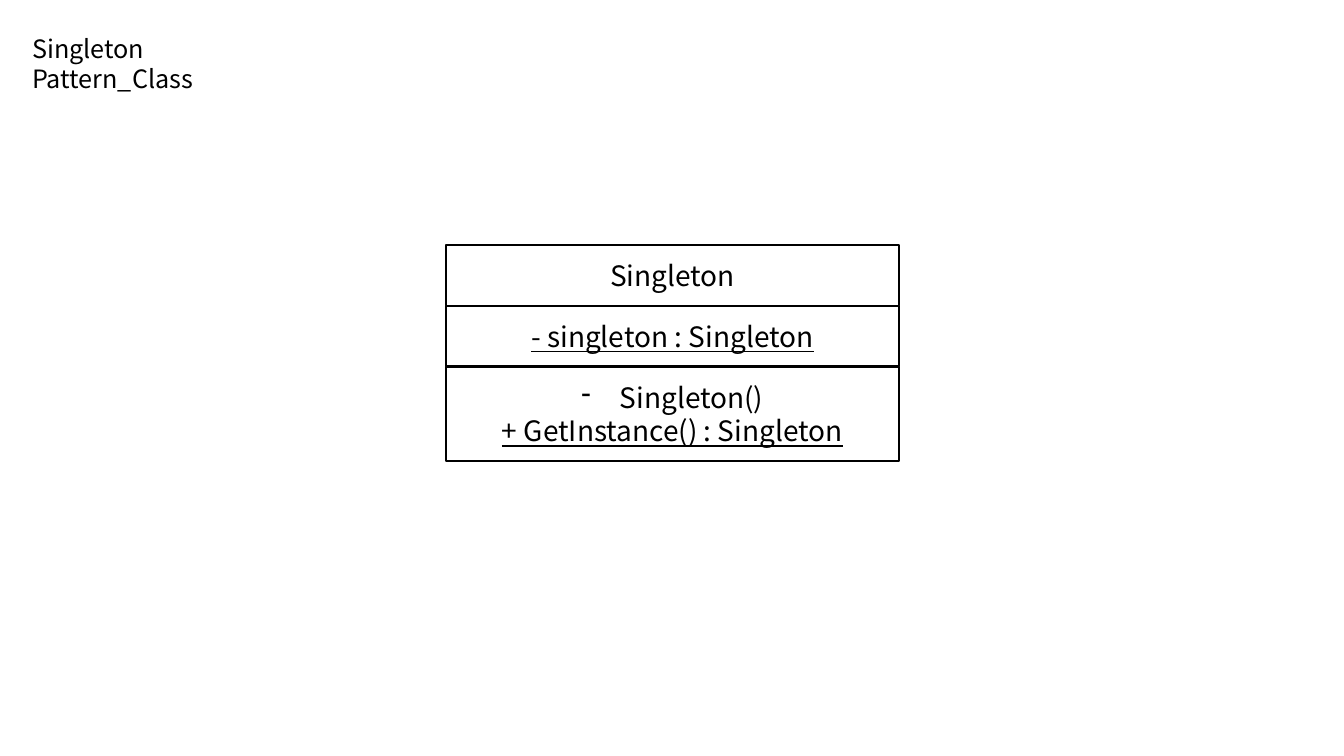
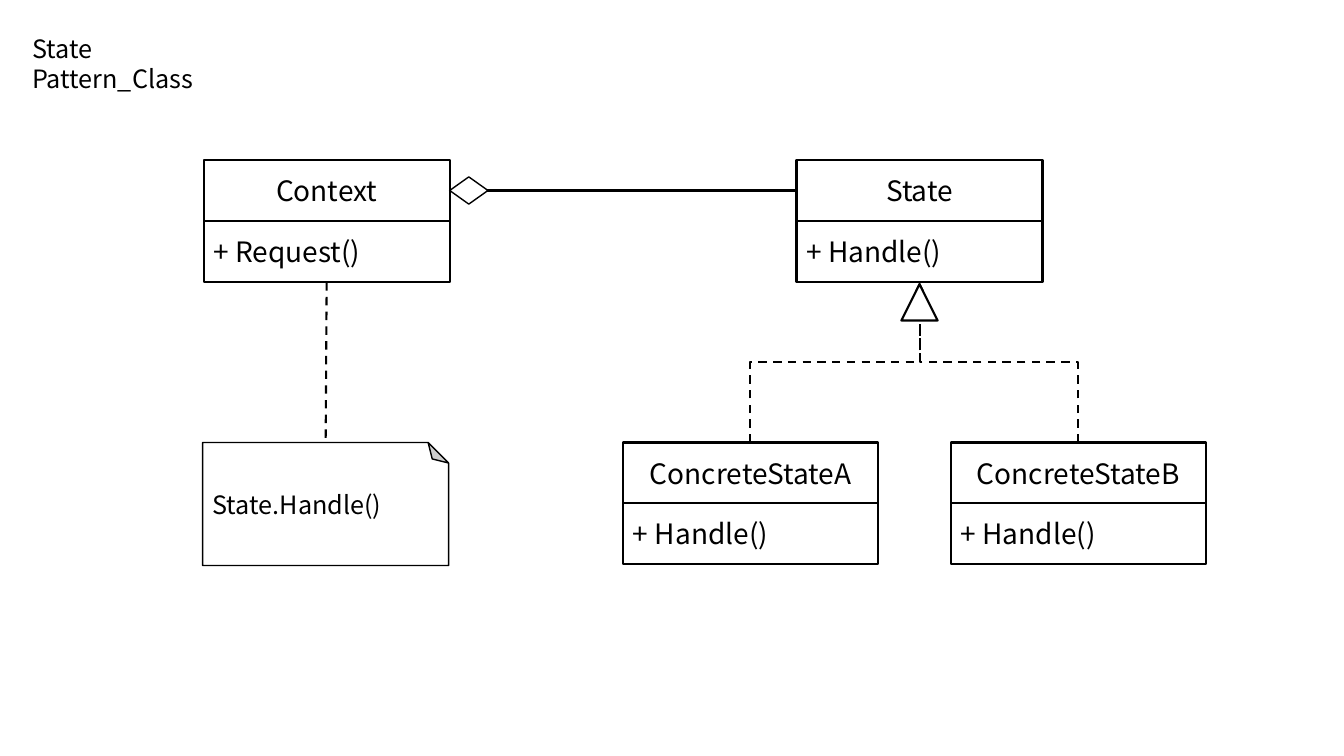
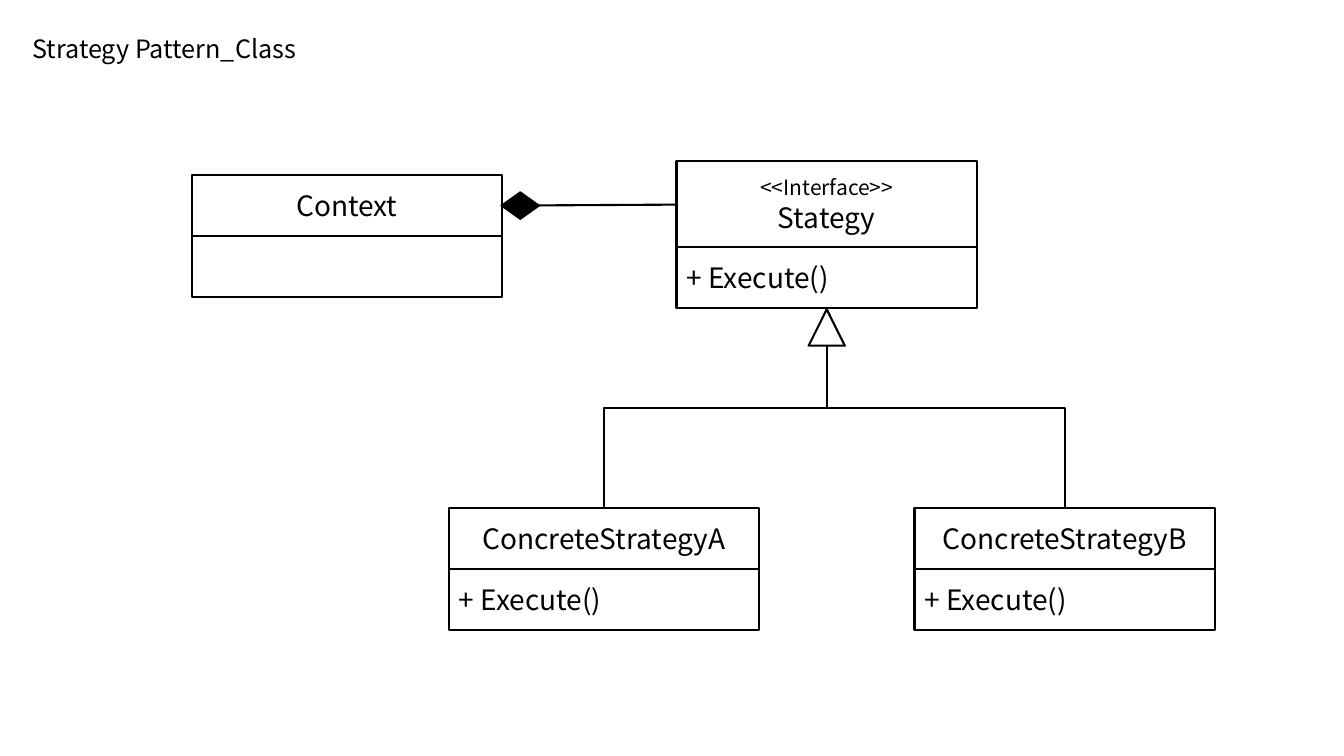
from lxml.etree import SubElement
from pptx import Presentation
from pptx.dml.color import RGBColor
from pptx.enum.dml import MSO_LINE
from pptx.enum.shapes import MSO_CONNECTOR, MSO_SHAPE
from pptx.enum.text import MSO_ANCHOR, MSO_AUTO_SIZE, PP_ALIGN
from pptx.oxml.ns import qn
from pptx.util import Inches, Pt

BLACK = RGBColor(0, 0, 0)
WHITE = RGBColor(255, 255, 255)
FONT = "Noto Sans CJK KR"
NAME_SIZE, NOTE_SIZE, STEREOTYPE_SIZE = 20, 18, 15
ROW_PADDING = 0.27
POINTS_PER_ROW_INCH = 60
BULLET_INDENT = 0.38
DIAMOND_W, DIAMOND_H = 0.38, 0.27
TRIANGLE = 0.36


def add_text(p, text, size=NAME_SIZE, align=PP_ALIGN.LEFT, underline=None, bullet=None):
    """Write one formatted run, with an optional bullet, into a paragraph."""
    p.alignment = align
    r = p.add_run()
    r.text = text
    font = r.font
    font.name, font.size, font.underline = FONT, Pt(size), underline
    font.color.rgb = BLACK
    if bullet:
        pPr = p._p.get_or_add_pPr()
        pPr.set("marL", str(Inches(BULLET_INDENT)))
        pPr.set("indent", str(-Inches(BULLET_INDENT)))
        SubElement(pPr, qn("a:buChar")).set("char", bullet)


def add_slide(prs, title, title_width):
    """Add a slide with its small title at top left."""
    slide = prs.slides.add_slide(prs.slide_layouts[5])
    sp = slide.shapes.title
    sp.left, sp.top = Inches(0.22), Inches(0.28)
    sp.width, sp.height = Inches(title_width), Inches(0.7)
    tf = sp.text_frame
    tf.word_wrap, tf.auto_size = True, MSO_AUTO_SIZE.NONE
    tf.vertical_anchor = MSO_ANCHOR.TOP
    add_text(tf.paragraphs[0], title, size=NOTE_SIZE)
    return slide


def add_outline(slide, kind, x, y, w, h, fill=WHITE, weight=1.5):
    """Add a filled preset shape with a black outline."""
    sp = slide.shapes.add_shape(kind, Inches(x), Inches(y), Inches(w), Inches(h))
    sp.shadow.inherit = False
    sp.fill.solid()
    sp.fill.fore_color.rgb = fill
    sp.line.color.rgb = BLACK
    sp.line.width = Pt(weight)
    return sp


def line(text, **style):
    """Describe one line of a class box."""
    return text, style


def centered(text, **style):
    """Describe one centred line of a class box."""
    return line(text, align=PP_ALIGN.CENTER, **style)


def add_class(slide, x, y, w, *rows):
    """Stack the rows of a class box, each as high as its lines need."""
    for row in rows:
        sizes = [style.get("size", NAME_SIZE) for _, style in row] or [NAME_SIZE]
        h = ROW_PADDING + sum(sizes) / POINTS_PER_ROW_INCH
        sp = add_outline(slide, MSO_SHAPE.RECTANGLE, x, y, w, h)
        tf = sp.text_frame
        tf.word_wrap, tf.vertical_anchor = True, MSO_ANCHOR.MIDDLE
        for i, (text, style) in enumerate(row):
            p = tf.add_paragraph() if i else tf.paragraphs[0]
            add_text(p, text, **style)
        y += h


def add_line(slide, start, end, kind=MSO_CONNECTOR.STRAIGHT, dashed=False, arrow=True):
    """Add a black connector, with an arrowhead at its end if wanted."""
    c = slide.shapes.add_connector(kind, *map(Inches, start + end))
    c.line.color.rgb = BLACK
    c.line.width = Pt(1.5)
    if dashed:
        c.line.dash_style = MSO_LINE.DASH
    if arrow:
        SubElement(c.line._ln, qn("a:tailEnd")).set("type", "triangle")
    SubElement(c.element.spPr, qn("a:effectLst"))
    return c


def add_riser(slide, start, end, dashed):
    """Add an elbow that leaves upwards, by turning a sideways one."""
    mid_x, mid_y = (start[0] + end[0]) / 2, (start[1] + end[1]) / 2
    from_left = start[0] < end[0]
    dx = (start[1] - end[1]) / 2 * (1 if from_left else -1)
    dy = abs(start[0] - end[0]) / 2
    c = add_line(slide, (mid_x + dx, mid_y + dy), (mid_x - dx, mid_y - dy),
                 kind=MSO_CONNECTOR.ELBOW, dashed=dashed)
    c.element.spPr.find(qn("a:xfrm")).set("rot", str((90 if from_left else 270) * 60000))


def add_inheritance(slide, parent, children, child_y, dashed=False):
    """Join the tops of child classes to the hollow triangle below their parent."""
    for x in children:
        add_riser(slide, (x, child_y), parent, dashed)
    x, y = parent
    add_outline(slide, MSO_SHAPE.ISOSCELES_TRIANGLE, x - TRIANGLE / 2, y + 0.02, TRIANGLE, TRIANGLE)


def add_ownership(slide, part, owner, fill):
    """Join a part to the diamond at its owner's right side."""
    add_line(slide, part, owner)
    x, y = owner
    add_outline(slide, MSO_SHAPE.FLOWCHART_DECISION, x, y - DIAMOND_H / 2,
                DIAMOND_W, DIAMOND_H, fill=fill, weight=1)


def add_note(slide, x, y, w, h, text):
    """Add a note with its top right corner folded and its text in the middle."""
    sp = add_outline(slide, MSO_SHAPE.FOLDED_CORNER, x, y, w, h, weight=1)
    sp.element.spPr.find(qn("a:xfrm")).set("flipV", "1")
    tf = slide.shapes.add_textbox(Inches(x), Inches(y), Inches(w), Inches(h)).text_frame
    tf.word_wrap, tf.vertical_anchor = True, MSO_ANCHOR.MIDDLE
    add_text(tf.paragraphs[0], text, size=NOTE_SIZE)


def build_singleton(prs):
    """Build the singleton slide."""
    slide = add_slide(prs, "Singleton Pattern_Class", 2.2)
    add_class(slide, 4.42, 2.43, 4.5,
              [centered("Singleton")],
              [centered("- singleton : Singleton", underline=True)],
              [centered("Singleton()", bullet="-"),
               centered("+ GetInstance() : Singleton", underline=True)])


def build_state(prs):
    """Build the state slide."""
    slide = add_slide(prs, "State Pattern_Class", 2.2)
    for x, y, w, name, method in (
        (2.02, 1.59, 2.44, "Context", "+ Request()"),
        (7.9, 1.59, 2.44, "State", "+ Handle()"),
        (6.18, 4.39, 2.53, "ConcreteStateA", "+ Handle()"),
        (9.43, 4.39, 2.53, "ConcreteStateB", "+ Handle()"),
    ):
        add_class(slide, x, y, w, [centered(name)], [line(method)])
    add_ownership(slide, (7.9, 1.89), (4.46, 1.89), WHITE)
    add_note(slide, 2.01, 4.39, 2.44, 1.22, "State.Handle()")
    add_line(slide, (3.24, 2.8), (3.23, 4.39), dashed=True, arrow=False)
    add_inheritance(slide, (9.12, 2.8), (7.44, 10.69), 4.39, dashed=True)


def build_strategy(prs):
    """Build the strategy slide."""
    slide = add_slide(prs, "Strategy Pattern_Class", 3.2)
    method = [line("+ Execute()")]
    add_class(slide, 6.71, 1.6, 2.98,
              [centered("<<Interface>>", size=STEREOTYPE_SIZE), centered("Stategy")], method)
    add_class(slide, 4.45, 5.04, 3.08, [centered("ConcreteStrategyA")], method)
    add_class(slide, 9.07, 5.04, 2.98, [centered("ConcreteStrategyB")], method)
    add_class(slide, 1.9, 1.74, 3.08, [centered("Context")], [])
    add_ownership(slide, (6.71, 2.03), (4.97, 2.04), BLACK)
    add_inheritance(slide, (8.2, 3.05), (5.99, 10.56), 5.04)


def main():
    """Build and save the presentation."""
    prs = Presentation()
    prs.slide_width, prs.slide_height = Inches(13.33), Inches(7.5)
    build_singleton(prs)
    build_state(prs)
    build_strategy(prs)
    prs.save("out.pptx")


if __name__ == "__main__":
    main()
